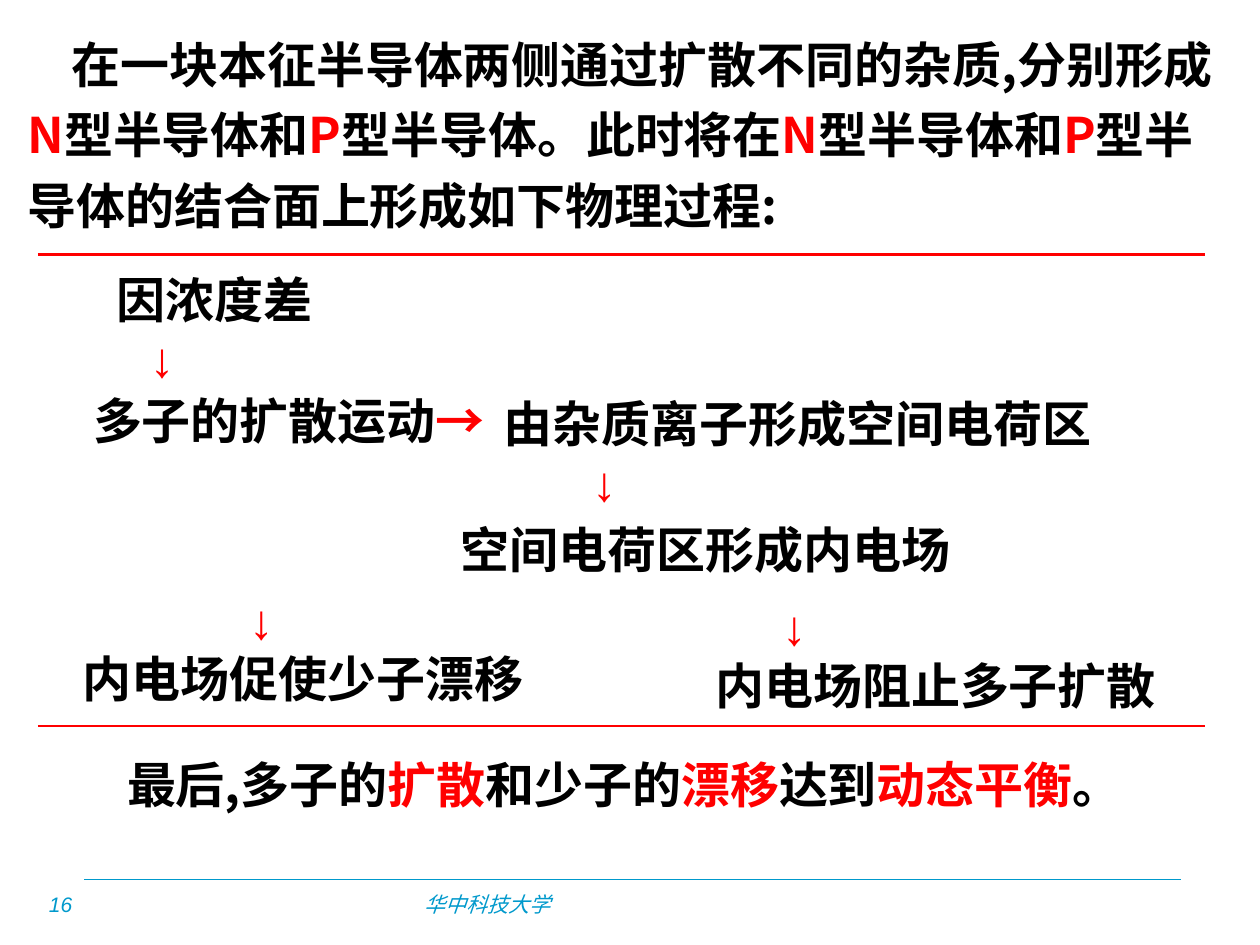
import pptx
import pptx.util
import pptx.dml.color
import pptx.enum.shapes
import pptx.enum.text
import pptx.oxml.ns
import lxml.etree

Inches = pptx.util.Inches
Pt = pptx.util.Pt
RGBColor = pptx.dml.color.RGBColor
ANCHOR = pptx.enum.text.MSO_ANCHOR
qn = pptx.oxml.ns.qn

BLACK = RGBColor(0, 0, 0)
RED = RGBColor(0xFF, 0, 0)
WHITE = RGBColor(0xFF, 0xFF, 0xFF)
TEAL = RGBColor(0, 0x99, 0xCC)
CJK = "Noto Sans CJK SC"
BODY = {"size": Pt(28), "bold": True, "name": CJK}
ARROW = {**BODY, "name": "Arial"}
FOOTER = {"size": Pt(12), "italic": True, "name": "Arial"}


def add_run(p, text, color, style):
    r = p.add_run()
    r.text = text
    for name, value in style.items():
        setattr(r.font, name, value)
    r.font.color.rgb = color
    ea = lxml.etree.SubElement(r.font._element, qn("a:ea"))
    ea.set("typeface", CJK)


def add_text(s, box, paragraphs, wrap=True, spacing=None, anchor=ANCHOR.MIDDLE):
    sp = s.shapes.add_textbox(*map(Inches, box))
    tf = sp.text_frame
    for name, value in {"word_wrap": wrap, "vertical_anchor": anchor}.items():
        setattr(tf, name, value)
    for i, (indent, runs) in enumerate(paragraphs):
        p = tf.paragraphs[0] if i == 0 else tf.add_paragraph()
        if spacing:
            p.line_spacing = spacing
        if indent:
            p._p.get_or_add_pPr().set("indent", str(Inches(indent)))
        for run in runs:
            add_run(p, *run)
    return sp


def add_rule(s, left, right, y, color, width):
    sp = s.shapes.add_connector(
        pptx.enum.shapes.MSO_CONNECTOR.STRAIGHT,
        Inches(left), Inches(y), Inches(right), Inches(y))
    sp.line.color.rgb = color
    sp.line.width = Pt(width)
    lxml.etree.SubElement(sp._element.spPr, qn("a:effectLst"))


def alternate(*texts):
    return [(t, RED if i % 2 else BLACK, BODY) for i, t in enumerate(texts)]


def add_footer(s, left, top, right):
    add_rule(s, left, right, top, TEAL, 1)
    for box, text in (((0.29, top + 0.05, 0.96, 0.3), "16"),
                      ((3.27, top + 0.05, 1.97, 0.3), "华中科技大学")):
        add_text(s, box, [(0, [(text, TEAL, FOOTER)])], anchor=ANCHOR.TOP)


def add_intro(s, box):
    runs = alternate("在一块本征半导体两侧通过扩散不同的杂质,分别形成", "N",
                     "型半导体和", "P", "型半导体。此时将在", "N",
                     "型半导体和", "P", "型半导体的结合面上形成如下物理过程:")
    sp = add_text(s, box, [(0.35, runs)], spacing=1.2)
    sp.fill.solid()
    sp.fill.fore_color.rgb = WHITE


def add_process(s, left, top, right, bottom):
    down = [("↓", RED, ARROW)]
    steps = [
        ((left, top - 0.16, 3.11, 1.5),
         [(0.53, alternate("因浓度差")), (0.79, down)], True),
        ((left + 0.34, top + 1.03, 3.61, 0.57),
         [(0, alternate("多子的扩散运动") + [("→", RED, ARROW)])], True),
        ((left + 3.6, top + 1.05, 5.22, 1.04),
         [(0, alternate("由杂质离子形成空间电荷区")), (0.7, down)], True),
        ((left + 3.26, top + 2.05, 4.08, 0.57),
         [(0, alternate("空间电荷区形成内电场"))], False),
        ((left, top + 2.38, 4.67, 1.5),
         [(1.58, down), (0.26, alternate("内电场促使少子漂移"))], True),
        ((left + 5.28, top + 2.43, 4, 1.5),
         [(0.53, down), (0, alternate("内电场阻止多子扩散"))], True),
    ]
    for box, paragraphs, wrap in steps:
        add_text(s, box, paragraphs, wrap)
    for y in (top, bottom):
        add_rule(s, left, right, y, RED, 1.25)


def add_conclusion(s, box):
    runs = alternate("最后,多子的", "扩散", "和少子的", "漂移", "达到", "动态平衡", "。")
    add_text(s, box, [(0, runs)], spacing=1.1)


def main():
    prs = pptx.Presentation()
    prs.slide_width, prs.slide_height = Inches(10), Inches(7.5)
    s = prs.slides.add_slide(prs.slide_layouts[6])
    add_footer(s, 0.67, 6.98, 9.37)
    add_intro(s, (0.12, 0.13, 9.76, 1.78))
    add_process(s, 0.3, 2.02, 9.56, 5.76)
    add_conclusion(s, (0.91, 5.89, 8.65, 0.62))
    prs.save("out.pptx")


if __name__ == "__main__":
    main()
